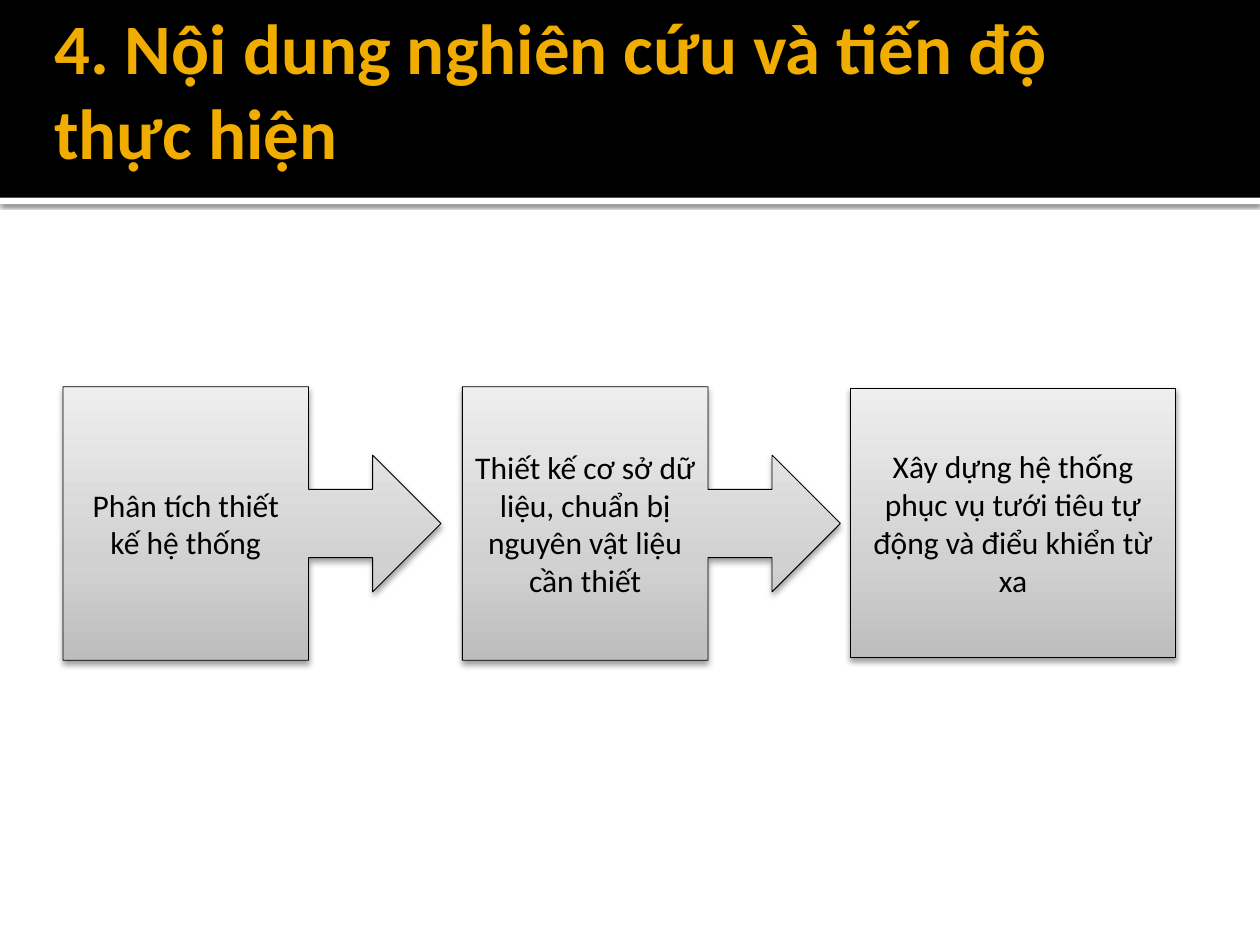
from copy import deepcopy
from dataclasses import dataclass

from lxml import etree
from pptx import Presentation
from pptx.dml.color import RGBColor
from pptx.enum.shapes import MSO_SHAPE
from pptx.enum.text import MSO_ANCHOR, MSO_AUTO_SIZE, PP_ALIGN
from pptx.oxml.ns import qn
from pptx.util import Inches, Pt

RECT = MSO_SHAPE.RECTANGLE
CALLOUT = MSO_SHAPE.RIGHT_ARROW_CALLOUT
MIDDLE = MSO_ANCHOR.MIDDLE
LEFT, CENTER = PP_ALIGN.LEFT, PP_ALIGN.CENTER
TITLE_ONLY = 5


@dataclass(frozen=True)
class Theme:
    font: str = "Calibri"
    black: str = "000000"
    white: str = "FFFFFF"
    gold: str = "F0AD00"
    gradient: tuple = ((0, "BDBDBD"), (0.35, "D1D1D1"), (1, "EEEEEE"))
    title_size: float = 40.5
    step_size: float = 18
    outline: float = 0.5


THEME = Theme()

TITLE = "4. Nội dung nghiên cứu và tiến độ thực hiện"
STEPS = [
    (CALLOUT, (0.5, 3.07, 3, 2.17), "Phân tích thiết kế hệ thống"),
    (CALLOUT, (3.67, 3.07, 3, 2.17),
     "Thiết kế cơ sở dữ liệu, chuẩn bị nguyên vật liệu cần thiết"),
    (RECT, (6.75, 3.08, 2.58, 2.14),
     "Xây dựng hệ thống phục vụ tưới tiêu tự động và điểu khiển từ xa"),
]


def set_attrs(obj, values):
    for name, value in values.items():
        setattr(obj, name, value)


def set_text(sp, text, size, color, align, bold=False):
    tf = sp.text_frame
    set_attrs(tf, {"word_wrap": True, "auto_size": MSO_AUTO_SIZE.NONE,
                   "vertical_anchor": MIDDLE})
    p = tf.paragraphs[0]
    p.alignment = align
    r = p.add_run()
    r.text = text
    set_attrs(r.font, {"name": THEME.font, "size": Pt(size), "bold": bold})
    r.font.color.rgb = RGBColor.from_string(color)


def add_shadow(sp, opacity, blur, distance):
    """Add a black shadow that falls straight down."""
    effects = sp.element.spPr.find(qn("a:effectLst"))
    shadow = etree.SubElement(
        effects, qn("a:outerShdw"), blurRad=str(Pt(blur)),
        dist=str(Pt(distance)), dir="5400000", rotWithShape="0")
    color = etree.SubElement(shadow, qn("a:srgbClr"), val=THEME.black)
    etree.SubElement(color, qn("a:alpha"), val=str(opacity * 1000))


def fill_gradient(sp):
    """Fill with the theme gradient, running from bottom to top."""
    sp.fill.gradient()
    sp.fill.gradient_angle = 90
    stops = sp.element.spPr.find(qn("a:gradFill")).find(qn("a:gsLst"))
    stops.append(deepcopy(stops[0]))
    for stop, (position, color) in zip(sp.fill.gradient_stops, THEME.gradient):
        stop.position = position
        stop.color.rgb = RGBColor.from_string(color)


def add_shape(s, kind, box):
    sp = s.shapes.add_shape(kind, *map(Inches, box))
    sp.shadow.inherit = False
    return sp


def add_band(s, top, height, color):
    """Add a full-width band behind the title."""
    sp = add_shape(s, RECT, (0, top, 10, height))
    sp.fill.solid()
    sp.fill.fore_color.rgb = RGBColor.from_string(color)
    sp.line.fill.background()
    s.shapes.title.element.addprevious(sp.element)
    return sp


def add_title(s):
    sp = s.shapes.title
    set_attrs(sp, {"left": Inches(0.33), "top": Inches(0.42),
                   "width": Inches(9), "height": Inches(1.25)})
    set_text(sp, TITLE, THEME.title_size, THEME.gold, LEFT, bold=True)
    # The deep bottom margin lifts both lines into the black band.
    set_attrs(sp.text_frame, {
        "margin_left": Inches(0.1), "margin_top": Inches(0.05),
        "margin_right": Inches(0.05), "margin_bottom": Inches(0.73)})


def add_step(s, kind, box, text):
    sp = add_shape(s, kind, box)
    fill_gradient(sp)
    sp.line.color.rgb = RGBColor.from_string(THEME.black)
    sp.line.width = Pt(THEME.outline)
    add_shadow(sp, 38, 3.5, 2)
    set_text(sp, text, THEME.step_size, THEME.black, CENTER)


def main():
    prs = Presentation()
    prs.slide_width, prs.slide_height = Inches(10), Inches(7.5)
    s = prs.slides.add_slide(prs.slide_layouts[TITLE_ONLY])
    rule = add_band(s, 1.57, 0.05, THEME.white)
    add_shadow(rule, 60, 2.5, 0.8)
    add_band(s, 0, 1.57, THEME.black)
    add_title(s)
    for kind, box, text in STEPS:
        add_step(s, kind, box, text)
    prs.save("out.pptx")


if __name__ == "__main__":
    main()
